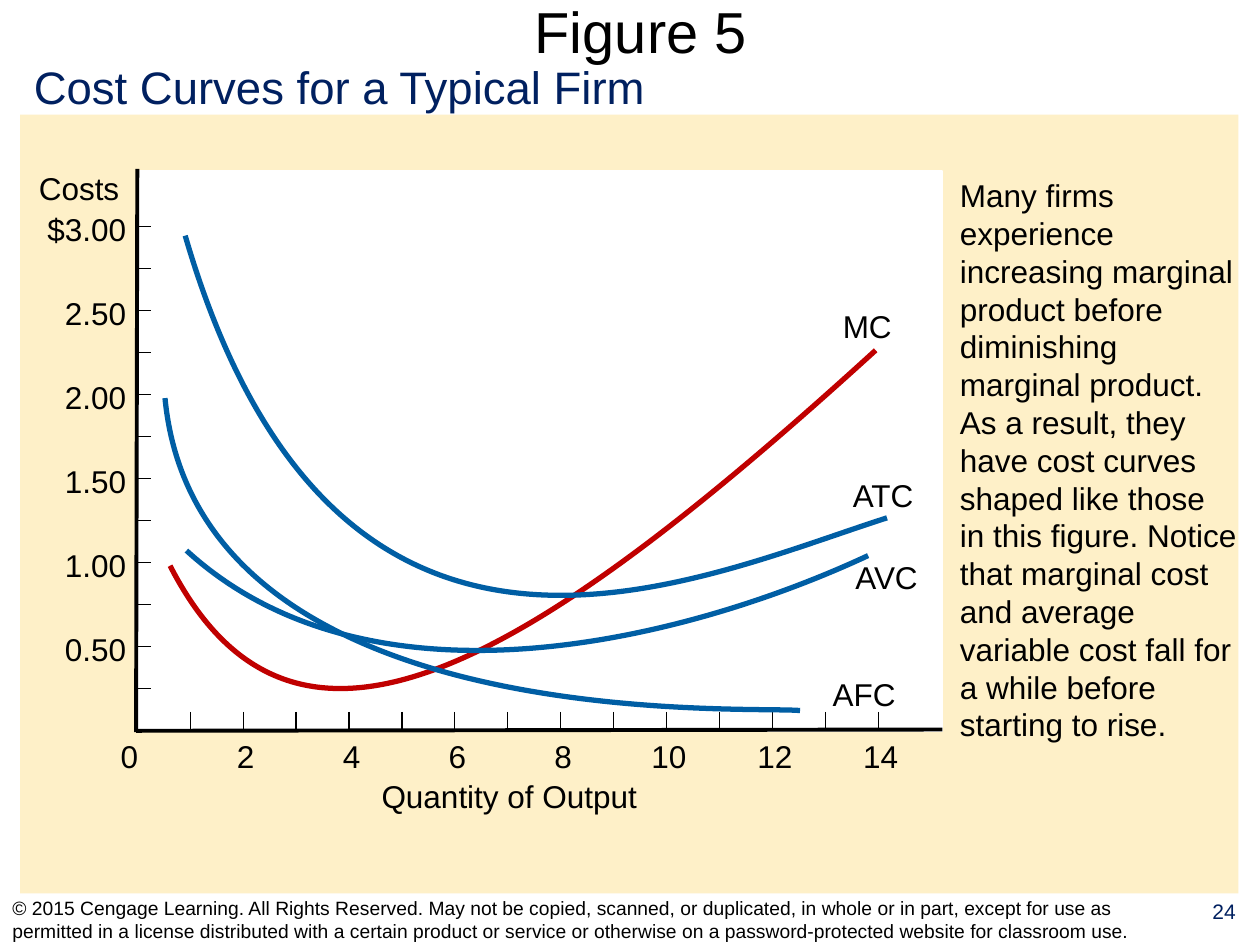
from lxml import etree
from pptx import Presentation
from pptx.dml.color import RGBColor
from pptx.enum import shapes, text
from pptx.oxml.ns import qn
from pptx.util import Inches, Pt

BLACK, NAVY, RED, BLUE = "000000", "002060", "C00000", "005EA4"
LEFT, MID, RIGHT = text.PP_ALIGN.LEFT, text.PP_ALIGN.CENTER, text.PP_ALIGN.RIGHT

NOTE = (
    "Many firms experience increasing marginal product before diminishing "
    "marginal product. As a result, they have cost curves shaped like those "
    "in this figure. Notice that marginal cost and average variable cost "
    "fall for a while before starting to rise."
)
LEGAL = (
    "© 2015 Cengage Learning. All Rights Reserved. May not be copied, scanned, "
    "or duplicated, in whole or in part, except for use as permitted in a "
    "license distributed with a certain product or service or otherwise on a "
    "password-protected website for classroom use."
)
COSTS = ["0.50", "1.00", "1.50", "2.00", "2.50", "$3.00"]
OUTPUTS = ["2", "4", "6", "8", "10", "12", "14"]

# name, label box, colour, Bezier points: start, two controls, end
CURVES = [
    ("MC", (6.59, 2.39, 0.59), RED,
     [(1.35, 4.49), (2.33, 6.4), (4.15, 5.33), (6.95, 2.78)]),
    ("ATC", (6.67, 3.73, 0.7), BLUE,
     [(1.47, 1.87), (2.66, 5.95), (5.48, 4.61), (7.04, 4.11)]),
    ("AVC", (6.69, 4.38, 0.71), BLUE,
     [(1.48, 4.37), (2.98, 5.74), (5.52, 5.05), (6.89, 4.41)]),
    ("AFC", (6.51, 5.31, 0.7), BLUE,
     [(1.31, 3.16), (1.57, 5.86), (5.95, 5.6), (6.35, 5.64)]),
]

# Axes: origin, distance between ticks, and width of a cost or output label
X0, Y0 = 1.09, 5.8
STEP_X, STEP_Y = 0.42, 1 / 3
COST_W, OUT_W = 1, 0.6

deck = Presentation()
deck.slide_width, deck.slide_height = Inches(10), Inches(7.5)
slide = deck.slides.add_slide(deck.slide_layouts[6])


def rgb(color):
    return RGBColor.from_string(color)


def panel(x, y, w, h, fill):
    box = slide.shapes.add_shape(
        shapes.MSO_SHAPE.RECTANGLE, Inches(x), Inches(y), Inches(w), Inches(h))
    box.shadow.inherit = False
    box.fill.solid()
    box.fill.fore_color.rgb = rgb(fill)
    box.line.fill.background()
    return box


def write(words, x, y, w, h=0.4, size=18, color=BLACK, align=LEFT, wrap=False):
    box = slide.shapes.add_textbox(Inches(x), Inches(y), Inches(w), Inches(h))
    frame = box.text_frame
    frame.word_wrap = wrap
    para = frame.paragraphs[0]
    para.text = words
    para.alignment = align
    para.font.name, para.font.size = "Arial", Pt(size)
    para.font.color.rgb = rgb(color)
    return frame


def line(x1, y1, x2, y2, width=0.75):
    rule = slide.shapes.add_connector(
        shapes.MSO_CONNECTOR.STRAIGHT,
        Inches(x1), Inches(y1), Inches(x2), Inches(y2))
    rule.line.color.rgb = rgb(BLACK)
    rule.line.width = Pt(width)
    etree.SubElement(rule._element.spPr, qn("a:effectLst"))


def curve(points, color):
    """Draw one cubic Bezier: an open path whose three lines become a curve."""
    start, *rest = [(Inches(x), Inches(y)) for x, y in points]
    pen = slide.shapes.build_freeform(*start)
    pen.add_line_segments(rest, close=False)
    shape = pen.convert_to_shape()
    shape.shadow.inherit = False
    shape.fill.background()
    shape.line.color.rgb = rgb(color)
    shape.line.width = Pt(3)
    track = next(shape._element.iter(qn("a:path")))
    bend = etree.SubElement(track, qn("a:cubicBezTo"))
    for leg in track.findall(qn("a:lnTo")):
        bend.append(leg[0])
        track.remove(leg)


# Page frame
panel(0.16, 0.91, 9.67, 6.18, "FEF0C8")
title = write("Figure 5", 0.35, 0, 9.47, 0.49, 33, align=MID, wrap=True)
title.vertical_anchor = text.MSO_ANCHOR.MIDDLE
title.margin_top = title.margin_bottom = 0
write("24", 9.43, 7.08, 0.57, 0.41, 12, NAVY, MID, True)
legal = write(LEGAL, 0, 7.1, 9.42, 0.4, 11, wrap=True)
legal.vertical_anchor = text.MSO_ANCHOR.MIDDLE
write("Cost Curves for a Typical Firm", 0.17, 0.42, 5.08, 0.54, 26, NAVY)
write(NOTE, 7.52, 1.35, 2.4, 4.6, wrap=True)

# Cost axis
plot = panel(1.09, 1.36, 6.38, 4.44, "FFFFFF")
plot.line.color.rgb = rgb("FFFFFF")
plot.line.width = Pt(2)
line(1.09, 1.34, 1.08, 5.81, 2.25)
write("Costs", 0.21, 1.29, 0.84)
for k in range(1, 2 * len(COSTS) + 1):
    y = Y0 - k * STEP_Y
    line(1.08, y, 1.2, y)
for k, cost in enumerate(COSTS, 1):
    y = Y0 - 2 * k * STEP_Y - 0.18
    write(cost, 1.1 - COST_W, y, COST_W, align=RIGHT, wrap=True)

# Output axis
line(1.08, 5.8, 7.48, 5.79, 2.25)
write("Quantity of Output", 2.93, 6.12, 2.23)
write("0", 0.86, Y0, 0.34)
for k in range(1, 2 * len(OUTPUTS) + 1):
    x = X0 + k * STEP_X
    line(x, 5.65, x, Y0)
for k, output in enumerate(OUTPUTS, 1):
    x = X0 + 2 * k * STEP_X + 0.02 - OUT_W / 2
    write(output, x, Y0, OUT_W, align=MID, wrap=True)

for name, spot, color, points in CURVES:
    curve(points, color)
    write(name, *spot)

deck.save("out.pptx")
